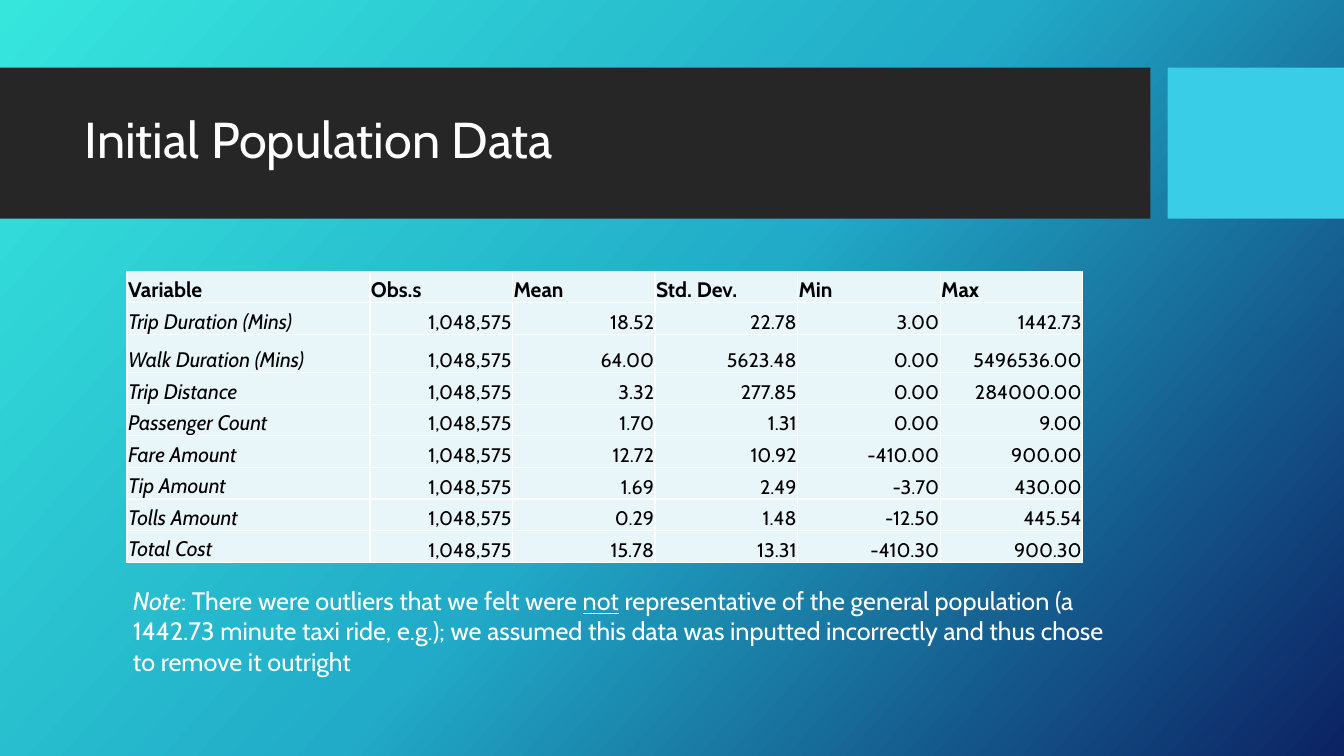
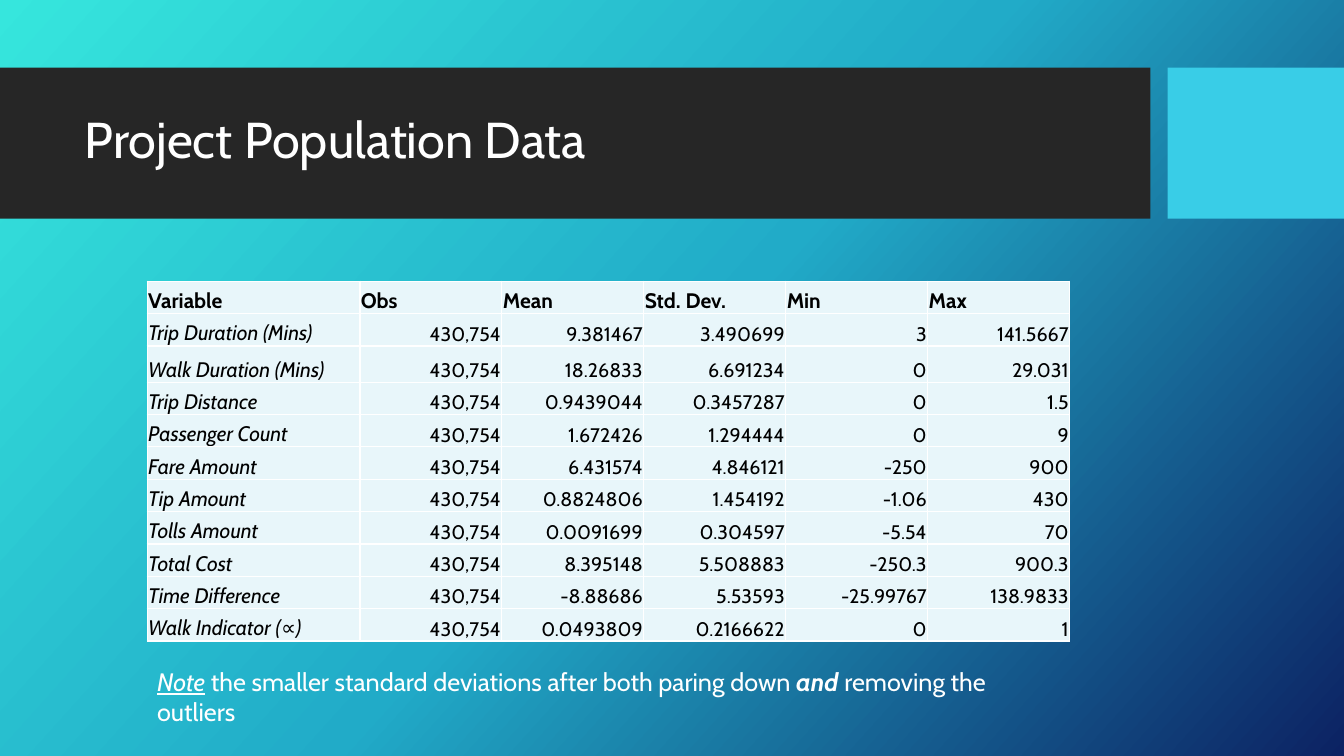
from copy import deepcopy
from dataclasses import dataclass

from lxml.etree import SubElement
from pptx import Presentation
from pptx.dml.color import RGBColor
from pptx.enum.shapes import MSO_SHAPE
from pptx.enum.text import MSO_ANCHOR, MSO_AUTO_SIZE, PP_ALIGN
from pptx.oxml.ns import qn
from pptx.util import Inches, Pt


@dataclass(frozen=True)
class Theme:
    font: str = "Cabin"
    light: str = "FFFFFF"
    dark: str = "000000"
    band: str = "262626"
    accent: str = "39CDE7"
    cell: str = "E8F6FA"
    gradient: tuple = ((0, "36E6DD"), (0.5, "21ABC8"), (1, "0C2263"))
    gradient_angle: int = 360 - 42  # python-pptx counts counter-clockwise
    title_size: int = 36
    note_size: int = 18
    label_size: int = 15
    value_size: int = 14
    border: int = 1


THEME = Theme()
WIDTH, HEIGHT = 13.33, 7.5
BAND_TOP, BAND_HEIGHT = 0.67, 1.5
BAND_WIDTH, ACCENT_WIDTH = 11.41, 1.75
TITLE_BOX = (0.74, 0.82, 10.51, 1.18)

INITIAL_DATA = [
    ("Variable", "Obs.s", "Mean", "Std. Dev.", "Min", "Max"),
    ("Trip Duration (Mins)", "1,048,575", "18.52", "22.78", "3.00", "1442.73"),
    ("Walk Duration (Mins)", "1,048,575", "64.00", "5623.48", "0.00", "5496536.00"),
    ("Trip Distance", "1,048,575", "3.32", "277.85", "0.00", "284000.00"),
    ("Passenger Count", "1,048,575", "1.70", "1.31", "0.00", "9.00"),
    ("Fare Amount", "1,048,575", "12.72", "10.92", "-410.00", "900.00"),
    ("Tip Amount", "1,048,575", "1.69", "2.49", "-3.70", "430.00"),
    ("Tolls Amount", "1,048,575", "0.29", "1.48", "-12.50", "445.54"),
    ("Total Cost", "1,048,575", "15.78", "13.31", "-410.30", "900.30"),
]
PROJECT_DATA = [
    ("Variable", "Obs", "Mean", "Std. Dev.", "Min", "Max"),
    ("Trip Duration (Mins)", "430,754", "9.381467", "3.490699", "3", "141.5667"),
    ("Walk Duration (Mins)", "430,754", "18.26833", "6.691234", "0", "29.031"),
    ("Trip Distance", "430,754", "0.9439044", "0.3457287", "0", "1.5"),
    ("Passenger Count", "430,754", "1.672426", "1.294444", "0", "9"),
    ("Fare Amount", "430,754", "6.431574", "4.846121", "-250", "900"),
    ("Tip Amount", "430,754", "0.8824806", "1.454192", "-1.06", "430"),
    ("Tolls Amount", "430,754", "0.0091699", "0.304597", "-5.54", "70"),
    ("Total Cost", "430,754", "8.395148", "5.508883", "-250.3", "900.3"),
    ("Time Difference", "430,754", "-8.88686", "5.53593", "-25.99767", "138.9833"),
    ("Walk Indicator (∝)", "430,754", "0.0493809", "0.2166622", "0", "1"),
]
# Note runs: text and style letters (b bold, i italic, u underlined)
INITIAL_NOTE = [
    ("Note", "i"),
    (": There were outliers that we felt were ", ""),
    ("not", "u"),
    (" representative of the general population (a 1442.73 minute taxi ride, e.g.); "
     "we assumed this data was inputted incorrectly and thus chose to remove it outright", ""),
]
PROJECT_NOTE = [
    ("Note", "iu"),
    (" the smaller standard deviations after both paring down ", ""),
    ("and ", "bi"),
    ("removing the outliers", ""),
]


def add_run(p, text, size, color, style=""):
    r = p.add_run()
    r.text = text
    r.font.name = THEME.font
    r.font.size = Pt(size)
    r.font.color.rgb = RGBColor.from_string(color)
    r.font.bold = "b" in style
    r.font.italic = "i" in style
    r.font.underline = "u" in style


# Shared background, bands and title position
def set_background(master):
    fill = master.background.fill
    fill.gradient()
    fill.gradient_angle = THEME.gradient_angle
    first = fill.gradient_stops[0]._gs
    first.addnext(deepcopy(first))
    for stop, (position, color) in zip(fill.gradient_stops, THEME.gradient):
        stop.position = position
        stop.color.rgb = RGBColor.from_string(color)


def place_title(layout):
    title = layout.placeholders[0]
    title.left, title.top, title.width, title.height = map(Inches, TITLE_BOX)


def add_layout_bands(layout, slide):
    """Draw the bands on a slide, then move them behind the layout's content."""
    bands = ((0, BAND_WIDTH, THEME.band),
             (WIDTH - ACCENT_WIDTH, ACCENT_WIDTH, THEME.accent))
    for left, width, color in bands:
        sp = slide.shapes.add_shape(MSO_SHAPE.RECTANGLE, Inches(left), Inches(BAND_TOP),
                                    Inches(width), Inches(BAND_HEIGHT))
        sp.shadow.inherit = False
        sp.fill.solid()
        sp.fill.fore_color.rgb = RGBColor.from_string(color)
        sp.line.fill.background()
        layout.shapes._spTree.insert(2, sp._element)


# Slide elements
def add_title(slide, text):
    tf = slide.shapes.title.text_frame
    tf.vertical_anchor = MSO_ANCHOR.MIDDLE
    p = tf.paragraphs[0]
    p.alignment = PP_ALIGN.LEFT
    p.line_spacing = 0.9
    add_run(p, text, THEME.title_size, THEME.light)


def add_note(slide, box, runs):
    tf = slide.shapes.add_textbox(*map(Inches, box)).text_frame
    tf.word_wrap = True
    tf.auto_size = MSO_AUTO_SIZE.SHAPE_TO_FIT_TEXT
    for text, style in runs:
        add_run(tf.paragraphs[0], text, THEME.note_size, THEME.light, style)


def set_borders(cell):
    tc_pr = cell._tc.get_or_add_tcPr()
    for index, side in enumerate(("a:lnL", "a:lnR", "a:lnT", "a:lnB")):
        ln = SubElement(tc_pr, qn(side), w=str(Pt(THEME.border)))
        solid = SubElement(ln, qn("a:solidFill"))
        SubElement(solid, qn("a:srgbClr"), val=THEME.light)
        tc_pr.insert(index, ln)


def fill_cell(cell, text, row, col):
    cell.fill.solid()
    cell.fill.fore_color.rgb = RGBColor.from_string(THEME.cell)
    cell.vertical_anchor = MSO_ANCHOR.BOTTOM
    cell.margin_left = cell.margin_right = cell.margin_top = Inches(0.01)
    cell.margin_bottom = 0
    set_borders(cell)
    p = cell.text_frame.paragraphs[0]
    is_value = row > 0 and col > 0
    p.alignment = PP_ALIGN.RIGHT if is_value else PP_ALIGN.LEFT
    size = THEME.value_size if is_value else THEME.label_size
    style = "b" if row == 0 else "i" if col == 0 else ""
    add_run(p, text, size, THEME.dark, style)


def add_data_table(slide, box, data, label_width, tall_height, tall_row=2):
    """The label column and one tall row are set; the others share the rest."""
    left, top, width, height = box
    rows, cols = len(data), len(data[0])
    table = slide.shapes.add_table(rows, cols, *map(Inches, box)).table
    table.first_row = table.horz_banding = False
    for i, column in enumerate(table.columns):
        column.width = Inches((width - label_width) / (cols - 1) if i else label_width)
    for i, row in enumerate(table.rows):
        row.height = Inches(tall_height if i == tall_row
                            else (height - tall_height) / (rows - 1))
    for i, record in enumerate(data):
        for j, text in enumerate(record):
            fill_cell(table.cell(i, j), text, i, j)


def main():
    prs = Presentation()
    prs.slide_width, prs.slide_height = Inches(WIDTH), Inches(HEIGHT)
    layout = prs.slide_layouts[5]
    set_background(prs.slide_master)
    place_title(layout)

    # Initial population
    slide = prs.slides.add_slide(layout)
    add_layout_bands(layout, slide)
    add_title(slide, "Initial Population Data")
    add_note(slide, (1.22, 5.76, 10.04, 1.01), INITIAL_NOTE)
    add_data_table(slide, (1.26, 2.69, 9.48, 2.89), INITIAL_DATA, 2.41, 0.38)

    # Project population
    slide = prs.slides.add_slide(layout)
    add_title(slide, "Project Population Data")
    add_data_table(slide, (1.46, 2.79, 9.15, 3.57), PROJECT_DATA, 2.11, 0.36)
    add_note(slide, (1.46, 6.56, 9.15, 0.71), PROJECT_NOTE)

    prs.save("out.pptx")


if __name__ == "__main__":
    main()
